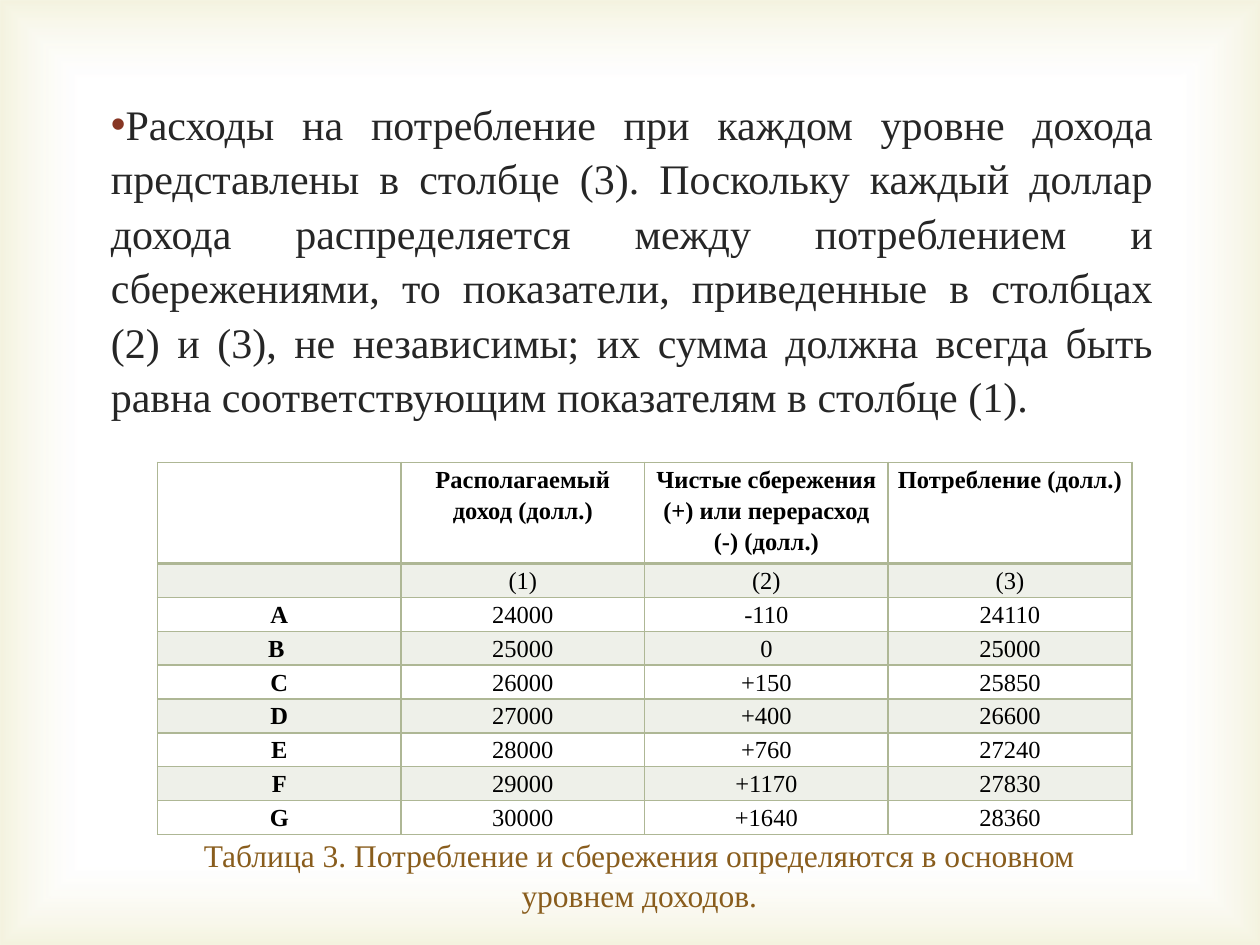
import pptx
import pptx.dml.color
import pptx.enum.shapes
import pptx.enum.text
import pptx.oxml
import pptx.oxml.ns
import pptx.util
import lxml.etree

Pt = pptx.util.Pt
ALIGN = pptx.enum.text.PP_ALIGN
NAMESPACE = pptx.oxml.ns.nsdecls("a")

COLORS = {
    "edge": "D1CA75",
    "white": "FFFFFF",
    "body": "262626",
    "bullet": "873624",
    "caption": "895D1D",
    "cell": "000000",
    "grid": "AEB795",
}

BODY = (
    "Расходы на потребление при каждом уровне дохода представлены в столбце (3). "
    "Поскольку каждый доллар дохода распределяется между потреблением и сбережениями, "
    "то показатели, приведенные в столбцах (2) и (3), не независимы; их сумма должна "
    "всегда быть равна соответствующим показателям в столбце (1)."
)
CAPTION = "Таблица 3. Потребление и сбережения определяются в основном уровнем доходов."
ROWS = [
    ["", "Располагаемый доход (долл.)",
     "Чистые сбережения (+) или перерасход (-) (долл.)", "Потребление (долл.)"],
    ["", "(1)", "(2)", "(3)"],
    ["A", "24000", "-110", "24110"],
    ["B ", "25000", "0", "25000"],
    ["C", "26000", "+150", "25850"],
    ["D", "27000", "+400", "26600"],
    ["E", "28000", "+760", "27240"],
    ["F", "29000", "+1170", "27830"],
    ["G", "30000", "+1640", "28360"],
]


def add_xml(parent, xml):
    """Append an element written with the a: prefix."""
    tag_end = min(i for i in (xml.find(" "), xml.find(">"), xml.find("/")) if i > 0)
    parent.append(pptx.oxml.parse_xml(f"{xml[:tag_end]} {NAMESPACE}{xml[tag_end:]}"))


class SlideBuilder:
    font_name = "Times New Roman"

    def __init__(self, slide):
        self.slide = slide

    def format_paragraph(self, paragraph, size, color, align, spacing, bold=False):
        paragraph.alignment = align
        paragraph.line_spacing = spacing
        for run in paragraph.runs:
            run.font.name = self.font_name
            run.font.size = Pt(size)
            run.font.bold = bold
            run.font.color.rgb = pptx.dml.color.RGBColor.from_string(COLORS[color])

    def add_glow(self, width, height):
        """Cover the slide with a soft coloured frame that fades to white."""
        shape = self.slide.shapes.add_shape(
            pptx.enum.shapes.MSO_SHAPE.RECTANGLE, 0, 0, Pt(width), Pt(height))
        shape.shadow.inherit = False
        shape.line.fill.background()
        shape.fill.gradient()
        gradient = shape.fill._xPr.find(pptx.oxml.ns.qn("a:gradFill"))
        for child in list(gradient):
            gradient.remove(child)
        stops = "".join(
            f'<a:gs pos="{position}000"><a:srgbClr val="{COLORS[color]}">'
            f'<a:alpha val="{alpha}000"/></a:srgbClr></a:gs>'
            for position, color, alpha in ((83, "white", 11), (100, "edge", 23)))
        add_xml(gradient, f"<a:gsLst>{stops}</a:gsLst>")
        add_xml(gradient, '<a:path path="rect"><a:fillToRect l="50000" t="50000" '
                          'r="50000" b="50000"/></a:path>')

    def add_text(self, text, left, top, width, height, size, color, align, bullet=None):
        box = self.slide.shapes.add_textbox(Pt(left), Pt(top), Pt(width), Pt(height))
        box.text_frame.word_wrap = True
        box.text_frame.text = text
        paragraph = box.text_frame.paragraphs[0]
        self.format_paragraph(paragraph, size, color, align, 1.08)
        if bullet:
            properties = paragraph._p.get_or_add_pPr()
            properties.set("marL", "0")
            properties.set("indent", "0")
            add_xml(properties, f'<a:buClr><a:srgbClr val="{COLORS[bullet]}"/></a:buClr>')
            add_xml(properties, '<a:buFont typeface="Arial"/>')
            add_xml(properties, '<a:buChar char="•"/>')

    def fill_cell(self, cell, text, bold, banded, bottom_width):
        cell.margin_left = cell.margin_right = Pt(5)
        cell.margin_top = cell.margin_bottom = 0
        cell.text_frame.text = text
        paragraph = cell.text_frame.paragraphs[0]
        self.format_paragraph(paragraph, 14, "cell", ALIGN.CENTER, 1.15, bold)
        if not text:
            add_xml(paragraph._p, '<a:endParaRPr sz="1400"/>')
        properties = cell._tc.get_or_add_tcPr()
        for side in "LRTB":
            line_width = Pt(bottom_width if side == "B" else 1)
            add_xml(properties, f'<a:ln{side} w="{line_width}"><a:solidFill><a:srgbClr '
                                f'val="{COLORS["grid"]}"/></a:solidFill></a:ln{side}>')
        if banded:
            cell.fill.solid()
            cell.fill.fore_color.rgb = pptx.dml.color.RGBColor.from_string(COLORS["grid"])
            color = properties.find(".//" + pptx.oxml.ns.qn("a:solidFill") + "/../"
                                    + pptx.oxml.ns.qn("a:solidFill"))
            color = properties.find(pptx.oxml.ns.qn("a:solidFill"))[0]
            add_xml(color, '<a:alpha val="20000"/>')
        else:
            cell.fill.background()

    def add_table(self, rows, left, top, column_width, header_height, row_height):
        column_count = len(rows[0])
        table = self.slide.shapes.add_table(
            len(rows), column_count, Pt(left), Pt(top), Pt(column_width * column_count),
            Pt(header_height + row_height * (len(rows) - 1))).table
        for column in table.columns:
            column.width = Pt(column_width)
        for r, values in enumerate(rows):
            table.rows[r].height = Pt(row_height if r else header_height)
            for c, text in enumerate(values):
                self.fill_cell(table.cell(r, c), text, bold=r == 0 or c == 0,
                               banded=r % 2 == 1, bottom_width=1 if r else 2)


def main():
    presentation = pptx.Presentation()
    presentation.slide_width, presentation.slide_height = Pt(720), Pt(540)
    builder = SlideBuilder(presentation.slides.add_slide(presentation.slide_layouts[6]))
    builder.add_glow(720, 540)
    builder.add_text(BODY, 56.3, 50.4, 609.8, 208, 24, "body", ALIGN.JUSTIFY, "bullet")
    builder.add_text(CAPTION, 84.2, 472.3, 562.3, 50.4, 18, "caption", ALIGN.CENTER)
    builder.add_table(ROWS, 90, 264.2, 139.2, 56.7, 18.05)
    presentation.save("out.pptx")


if __name__ == "__main__":
    main()
